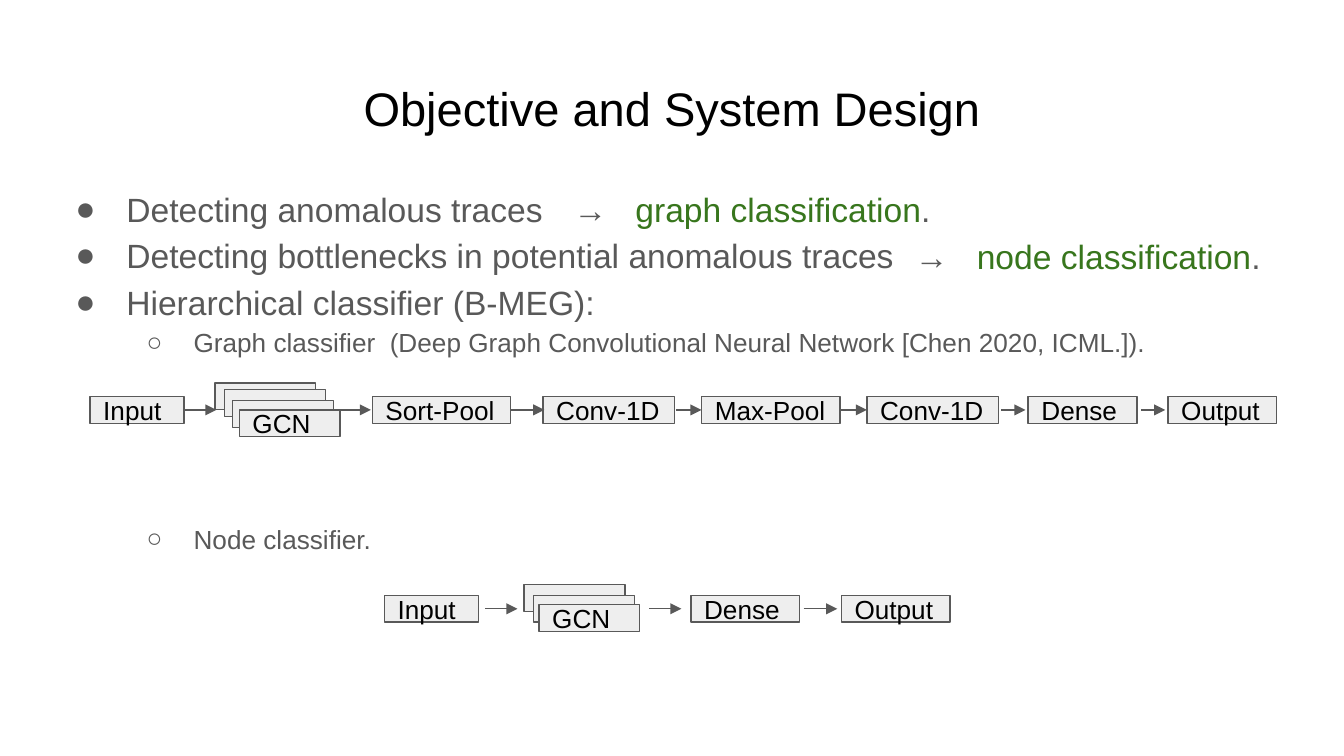
"""Build the slide on the objective and system design of a hierarchical classifier."""
from lxml.etree import SubElement
from pptx import Presentation
from pptx.dml.color import RGBColor
from pptx.enum.shapes import MSO_CONNECTOR, MSO_SHAPE
from pptx.enum.text import MSO_ANCHOR, MSO_AUTO_SIZE, PP_ALIGN
from pptx.oxml.ns import qn
from pptx.util import Inches, Pt

BLACK = RGBColor(0x00, 0x00, 0x00)
GRAY = RGBColor(0x59, 0x59, 0x59)
PALE = RGBColor(0xEE, 0xEE, 0xEE)
GREEN = RGBColor(0x38, 0x76, 0x1D)
BOX_HEIGHT = 0.2
GCN_WIDTH = 0.75


def style_run(run, size, color):
    run.font.name = "Arial"
    run.font.size = Pt(size)
    run.font.color.rgb = color


def add_box(shapes, label, left, top, width):
    box = shapes.add_shape(MSO_SHAPE.RECTANGLE, Inches(left), Inches(top),
                           Inches(width), Inches(BOX_HEIGHT))
    box.shadow.inherit = False
    box.fill.solid()
    box.fill.fore_color.rgb = PALE
    box.line.color.rgb = GRAY
    box.line.width = Pt(0.75)
    if label:
        frame = box.text_frame
        frame.text = label
        frame.vertical_anchor = MSO_ANCHOR.MIDDLE
        frame.margin_top = frame.margin_bottom = Inches(0.1)
        frame.paragraphs[0].alignment = PP_ALIGN.LEFT
        style_run(frame.paragraphs[0].runs[0], 14, BLACK)


presentation = Presentation()
presentation.slide_width = Inches(10)
presentation.slide_height = Inches(10 * 9 / 16)
slide = presentation.slides.add_slide(presentation.slide_layouts[1])

title = slide.shapes.title
title.left, title.top = Inches(0.34), Inches(0.49)
title.width, title.height = Inches(9.32), Inches(0.63)
title.text_frame.text = "Objective and System Design"
title.text_frame.auto_size = MSO_AUTO_SIZE.NONE
title.text_frame.paragraphs[0].alignment = PP_ALIGN.CENTER
style_run(title.text_frame.paragraphs[0].runs[0], 25.2, BLACK)

goals = slide.placeholders[1]
goals.left, goals.top = Inches(0.34), Inches(1.26)
goals.width, goals.height = Inches(9.32), Inches(3.74)
goals.text_frame.auto_size = MSO_AUTO_SIZE.NONE
goals.text_frame.margin_top = goals.text_frame.margin_bottom = Inches(0.1)

goal_lines = [
    ("Detecting anomalous traces", 0, 0),
    ("Detecting bottlenecks in potential anomalous traces", 0, 0),
    ("Hierarchical classifier (B-MEG):", 0, 0),
    ("Graph classifier  (Deep Graph Convolutional Neural Network [Chen 2020, ICML.]).", 1, 0),
    ("Node classifier.", 1, 86),
]
level_styles = [("●", 18, 0.5, -0.38), ("○", 14, 1, -0.35)]
goals.text_frame.text = "\n".join(text for text, _, _ in goal_lines)
for paragraph, (_, level, gap) in zip(goals.text_frame.paragraphs, goal_lines):
    bullet, size, margin, indent = level_styles[level]
    paragraph.level = level
    paragraph.line_spacing = 1.15
    paragraph.space_before = Pt(gap)
    style_run(paragraph.runs[0], size, GRAY)
    properties = paragraph._p.get_or_add_pPr()
    properties.set("marL", str(Inches(margin)))
    properties.set("indent", str(Inches(indent)))
    bullet_color = SubElement(properties, qn("a:buClr"))
    SubElement(bullet_color, qn("a:srgbClr"), val=str(GRAY))
    SubElement(properties, qn("a:buFont"), typeface="Arial")
    SubElement(properties, qn("a:buChar"), char=bullet)

pipelines = [
    (2.95, [("Input", 0.67, 0.7), ("Sort-Pool", 2.77, 1.03), ("Conv-1D", 4.04, 0.98),
            ("Max-Pool", 5.22, 1.03), ("Conv-1D", 6.45, 0.98), ("Dense", 7.65, 0.81),
            ("Output", 8.69, 0.81)],
     [(1.6, 2.85), (1.67, 2.9), (1.73, 2.98), (1.78, 3.05)],
     [(1.36, 1.61), (2.51, 2.76), (3.8, 4.05), (5.03, 5.22), (6.26, 6.45),
      (7.45, 7.63), (8.49, 8.67)]),
    (4.43, [("Input", 2.86, 0.7), ("Dense", 5.14, 0.81), ("Output", 6.26, 0.81)],
     [(3.9, 4.35), (3.97, 4.43), (4.01, 4.5)],
     [(3.61, 3.85), (4.83, 5.07), (5.98, 6.23)]),
]
for top, stages, gcn_layers, arrows in pipelines:
    for label, left, width in stages:
        add_box(slide.shapes, label, left, top, width)

    gcn_stack = slide.shapes.add_group_shape()
    for layer in gcn_layers:
        label = "GCN" if layer == gcn_layers[-1] else ""
        add_box(gcn_stack.shapes, label, *layer, GCN_WIDTH)

    middle = Inches(top + BOX_HEIGHT / 2)
    for start, end in arrows:
        arrow = slide.shapes.add_connector(MSO_CONNECTOR.STRAIGHT, Inches(start), middle,
                                           Inches(end), middle)
        arrow.line.color.rgb = GRAY
        arrow.line.width = Pt(0.75)
        SubElement(arrow.line._get_or_add_ln(), qn("a:tailEnd"), type="triangle")
        SubElement(arrow._element.spPr, qn("a:effectLst"))

for task, left, top in [("graph classification", 4.17, 1.26),
                        ("node classification", 6.71, 1.61)]:
    outcome = slide.shapes.add_textbox(Inches(left), Inches(top), Inches(3.2), Inches(0.5))
    outcome.text_frame.word_wrap = True
    outcome.text_frame.margin_top = outcome.text_frame.margin_bottom = Inches(0.1)
    paragraph = outcome.text_frame.paragraphs[0]
    paragraph.line_spacing = 1.15
    paragraph.space_after = Pt(12)
    tab_stops = SubElement(paragraph._p.get_or_add_pPr(), qn("a:tabLst"))
    SubElement(tab_stops, qn("a:tab"), pos=str(Inches(0.46)), algn="l")
    for text, color in [("→\t", GRAY), (task, GREEN), (".", GRAY)]:
        run = paragraph.add_run()
        run.text = text
        style_run(run, 18, color)

presentation.save("out.pptx")
